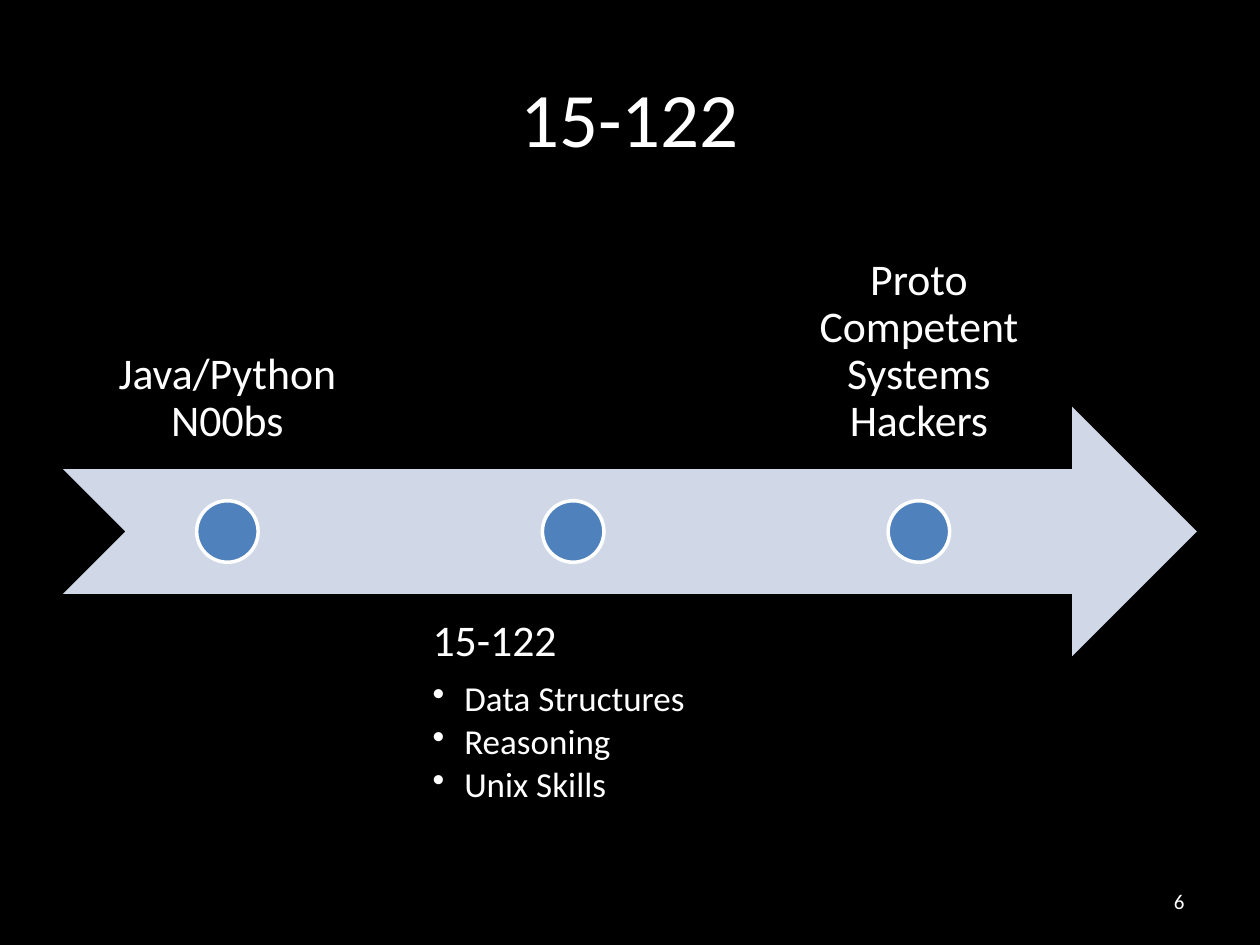
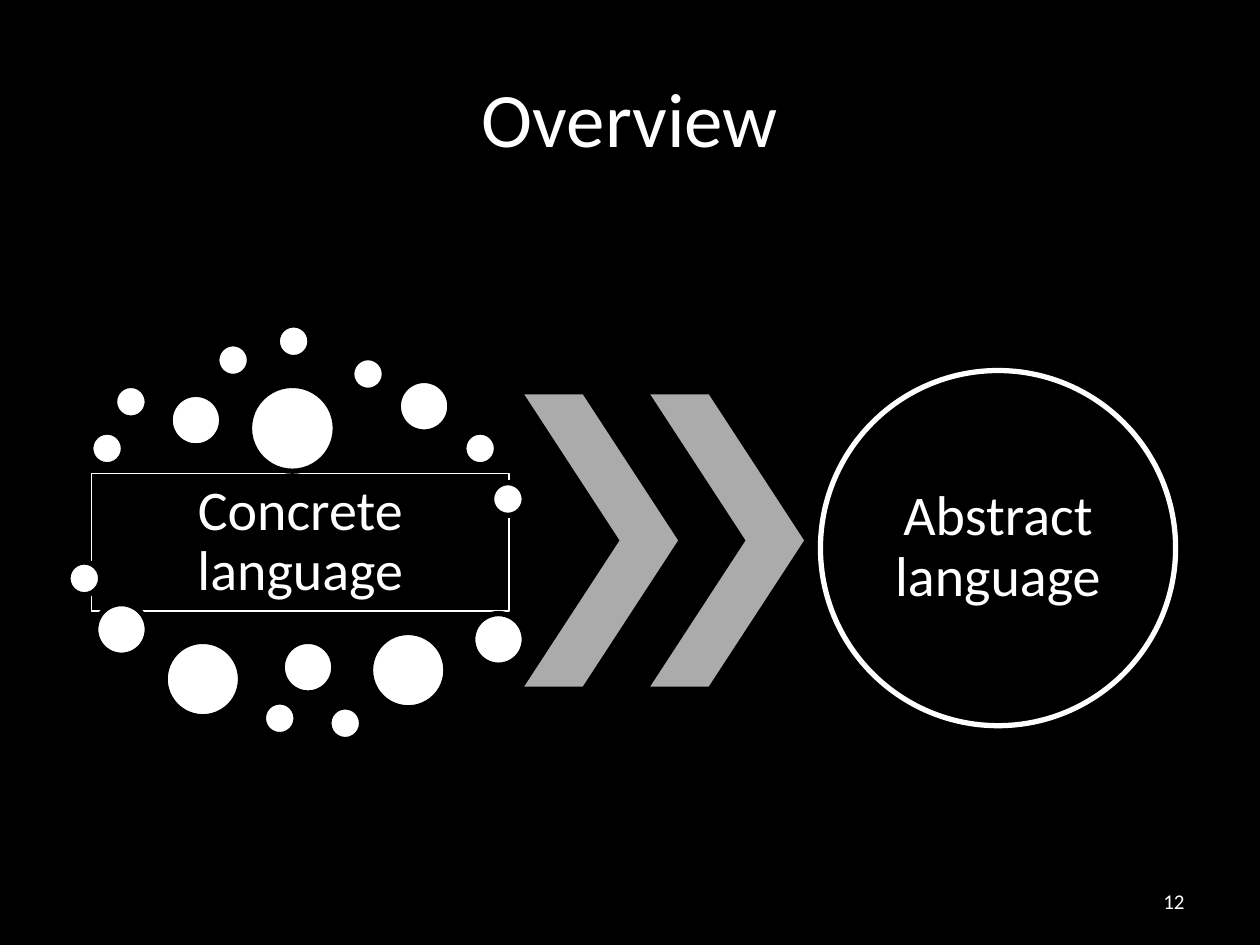
from lxml import etree
from pptx import Presentation
from pptx import util as u
from pptx.dml.color import RGBColor
from pptx.enum import shapes, text
from pptx.oxml.ns import qn

Cm, Pt = u.Cm, u.Pt
KIND, ALIGN, ANCHOR = shapes.MSO_SHAPE, text.PP_ALIGN, text.MSO_ANCHOR

# ---------- content (lengths in cm) ----------
COLORS = {"back": "000000", "text": "FFFFFF", "arrow": "D0D8E8",
          "stop": "4F81BD", "chevron": "ABABAB"}
FONT = "Calibri"
SLIDE_W, SLIDE_H = 25.4, 19.05
TITLE_BOX = (1.27, 0.76, 22.86, 3.18)
NUMBER_BOX = (18.21, 17.65, 5.92, 1.02)

COURSE = {"title": "15-122", "number": "6"}
STOPS = [  # heading, bullets
    ("Java/Python N00bs", []),
    ("15-122", ["Data Structures", "Reasoning", "Unix Skills"]),
    ("Proto Competent Systems Hackers", []),
]
ARROW = (1.27, 8.2, 22.86, 5.03)
STOP_W, STOP_STEP, STOP_DOT = 6.63, 6.97, 1.24
LABEL_TOPS = (4.45, 11.99)  # above and below the arrow, in turn

OVERVIEW = {"title": "Overview", "number": "12"}
FROM_TEXT, FROM_BOX = "Concrete language", (1.85, 9.55, 8.41, 2.77)
TO_TEXT, TO_RING = "Abstract language", (16.54, 7.47, 7.16, 7.16)
CHEVRON, CHEVRON_STEP, CHEVRON_COUNT = (10.57, 7.95, 3.1, 5.89), 2.54, 2
DOT_SIZES = {"small": 0.66, "medium": 1.04, "large": 1.52, "largest": 1.73}
DOTS = [
    ("small", 1.83, 8.71), ("small", 2.31, 7.77), ("medium", 3.43, 7.95),
    ("small", 4.37, 6.93), ("small", 5.59, 6.55), ("small", 7.09, 7.21),
    ("medium", 8.03, 7.67), ("small", 9.35, 8.71), ("small", 9.91, 9.73),
    ("largest", 5.03, 7.77), ("small", 1.37, 11.33), ("medium", 1.93, 12.17),
    ("large", 3.33, 12.93), ("small", 5.31, 14.15), ("medium", 5.69, 12.93),
    ("small", 6.63, 14.25), ("large", 7.47, 12.75), ("medium", 9.53, 12.37),
]


# ---------- helpers ----------
def color(name):
    return RGBColor.from_string(COLORS[name])


def set_all(target, **values):
    for name, value in values.items():
        setattr(target, name, value)


def write(sp, lines, anchor=ANCHOR.MIDDLE, inset=None):
    """Fill a shape with (text, size, paragraph format) lines."""
    tf = sp.text_frame
    set_all(tf, word_wrap=True, vertical_anchor=anchor)
    if inset is not None:
        sides = ("left", "top", "right", "bottom")
        set_all(tf, **{f"margin_{side}": Cm(inset) for side in sides})
    for i, (words, size, fmt) in enumerate(lines):
        p = tf.add_paragraph() if i else tf.paragraphs[0]
        set_all(p, **fmt)
        r = p.add_run()
        r.text = words
        set_all(r.font, name=FONT, size=Pt(size))
        r.font.color.rgb = color("text")
    return tf


def add_text(s, box, lines, **kw):
    return write(s.shapes.add_textbox(*map(Cm, box)), lines, **kw)


def add_shape(s, kind, box, fill, line=None, width=0):
    sp = s.shapes.add_shape(kind, *map(Cm, box))
    sp.shadow.inherit = False
    sp.fill.solid()
    sp.fill.fore_color.rgb = color(fill)
    if line:
        sp.line.color.rgb = color(line)
        sp.line.width = Pt(width)
    else:
        sp.line.fill.background()
    return sp


def label(words, size, after=0.35, align=ALIGN.CENTER):
    """A diagram line; the gap after it is a share of its size."""
    return words, size, {"alignment": align, "line_spacing": 0.9,
                         "space_after": Pt(size * after)}


def add_bullet(p):
    ppr = p._p.get_or_add_pPr()
    ppr.set("marL", str(Cm(0.64)))
    ppr.set("indent", str(Cm(-0.64)))
    etree.SubElement(ppr, qn("a:buChar")).set("char", "•")


def add_slide(prs, title, number):
    s = prs.slides.add_slide(prs.slide_layouts[6])
    s.background.fill.solid()
    s.background.fill.fore_color.rgb = color("back")
    add_text(s, TITLE_BOX, [(title, 44, {"alignment": ALIGN.CENTER})])
    add_text(s, NUMBER_BOX, [(number, 12, {"alignment": ALIGN.RIGHT})])
    return s


# ---------- slides ----------
def course_slide(prs):
    s = add_slide(prs, **COURSE)
    add_shape(s, KIND.NOTCHED_RIGHT_ARROW, ARROW, "arrow")
    left, top, _, height = ARROW
    for i, (heading, bullets) in enumerate(STOPS):
        x = left + i * STOP_STEP
        align = ALIGN.LEFT if bullets else ALIGN.CENTER
        lines = [label(heading, 25, align=align)]
        lines += [label(b, 20, 0.15, align) for b in bullets]
        tf = add_text(s, (x, LABEL_TOPS[i % 2], STOP_W, height), lines, inset=0.48,
                      anchor=ANCHOR.TOP if i % 2 else ANCHOR.BOTTOM)
        for p in tf.paragraphs[1:]:
            add_bullet(p)
        dot = (x + (STOP_W - STOP_DOT) / 2, top + (height - STOP_DOT) / 2,
               STOP_DOT, STOP_DOT)
        add_shape(s, KIND.OVAL, dot, "stop", "text", 2)


def overview_slide(prs):
    s = add_slide(prs, **OVERVIEW)
    source = add_shape(s, KIND.RECTANGLE, FROM_BOX, "back", "text", 0.75)
    write(source, [label(FROM_TEXT, 32)], inset=0.1)
    for size, x, y in DOTS:
        d = DOT_SIZES[size]
        add_shape(s, KIND.OVAL, (x, y, d, d), "text", "back", 3)
    left, *rest = CHEVRON
    for i in range(CHEVRON_COUNT):
        sp = add_shape(s, KIND.CHEVRON, (left + i * CHEVRON_STEP, *rest), "chevron")
        sp.adjustments[0] = 0.62
    ring = add_shape(s, KIND.OVAL, TO_RING, "back", "text", 3)
    write(ring, [label(TO_TEXT, 32)], inset=0)


def main():
    prs = Presentation()
    set_all(prs, slide_width=Cm(SLIDE_W), slide_height=Cm(SLIDE_H))
    course_slide(prs)
    overview_slide(prs)
    prs.save("out.pptx")


if __name__ == "__main__":
    main()
